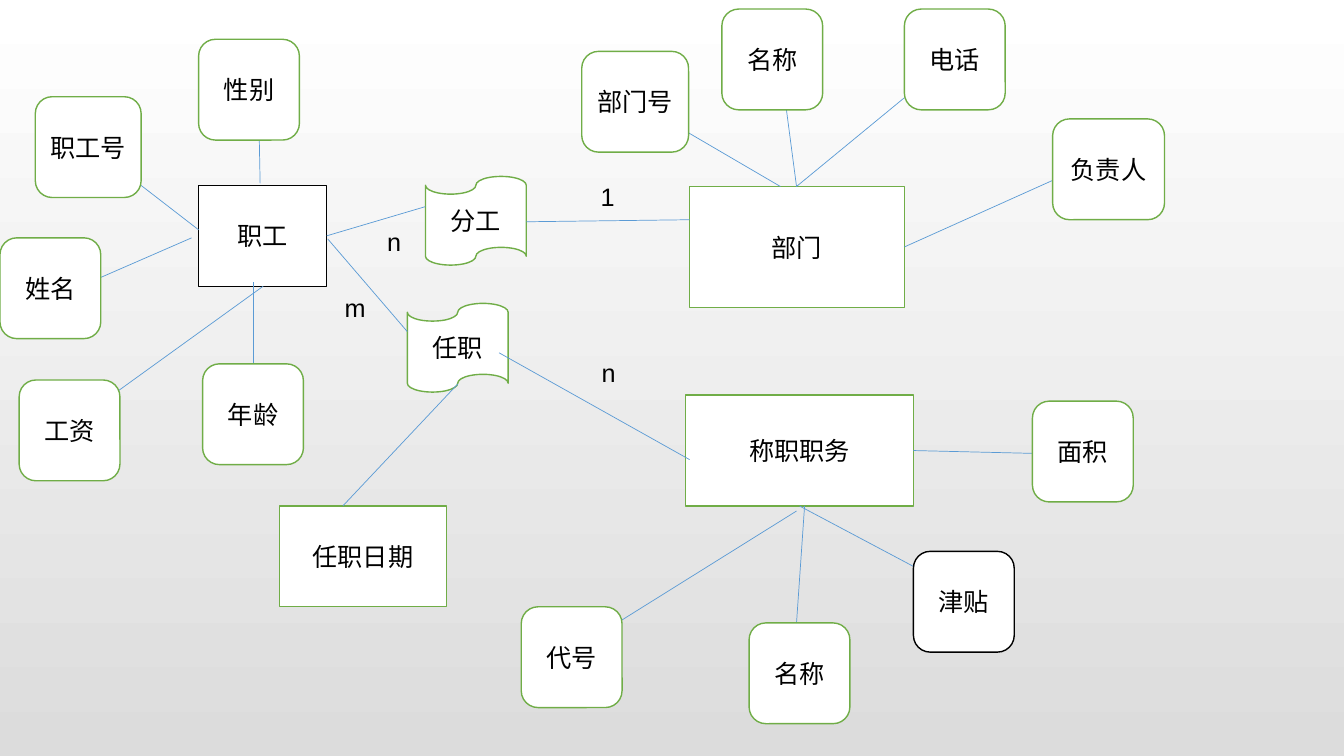
from lxml import etree
from pptx import Presentation
from pptx.dml.color import RGBColor
from pptx.enum.shapes import MSO_CONNECTOR, MSO_SHAPE
from pptx.enum.text import MSO_ANCHOR, MSO_AUTO_SIZE, PP_ALIGN
from pptx.oxml.ns import qn
from pptx.util import Inches, Pt

ENTITY = MSO_SHAPE.RECTANGLE
PROCESS = MSO_SHAPE.FLOWCHART_PROCESS
ATTRIBUTE = MSO_SHAPE.ROUNDED_RECTANGLE
RELATIONSHIP = MSO_SHAPE.FLOWCHART_PUNCHED_TAPE
STRAIGHT = MSO_CONNECTOR.STRAIGHT
MIDDLE = MSO_ANCHOR.MIDDLE
CENTER = PP_ALIGN.CENTER
FIT_SHAPE = MSO_AUTO_SIZE.SHAPE_TO_FIT_TEXT

WHITE, GREY, BLACK = "FFFFFF", "DCDCDC", "000000"
GREEN, BLUE = "70AD47", "5B9BD5"
FONT = {"name": "Arial", "size": Pt(18)}
NODE_FRAME = {"word_wrap": True, "vertical_anchor": MIDDLE,
              "margin_left": Inches(0.05), "margin_right": Inches(0.05)}
LABEL_FRAME = {"word_wrap": True, "auto_size": FIT_SHAPE}

# Text, left, top, width, height, preset, outline
ENTITIES = [
    ("职工", 1.97, 1.84, 1.27, 1, ENTITY, BLACK),
    ("任职日期", 2.77, 5.02, 1.66, 1, ENTITY, GREEN),
    ("部门", 6.84, 1.85, 2.13, 1.2, PROCESS, GREEN),
    ("称职职务", 6.8, 3.92, 2.26, 1.1, ENTITY, GREEN),
]
# Text, left, top
RELATIONSHIPS = [("分工", 4.22, 1.75), ("任职", 4.04, 3.01)]
# Start x, start y, end x, end y
RELATIONSHIP_LINKS = [
    (3.24, 2.34, 4.22, 2.05),
    (3.25, 2.37, 4.04, 3.29),
    (4.54, 3.81, 3.4, 5.02),
    (5.22, 2.2, 6.84, 2.18),
    (6.84, 4.56, 4.95, 3.5),
]
# Text, left, top, width, outline, link from entity to attribute
ATTRIBUTES = [
    ("职工号", 0.35, 0.96, 1.05, GREEN, (1.97, 2.28, 1.4, 1.84)),
    ("性别", 1.97, 0.39, 1, GREEN, (2.58, 1.82, 2.57, 1.28)),
    ("姓名", 0, 2.36, 1, GREEN, (1.9, 2.36, 0.89, 2.8)),
    ("工资", 0.19, 3.77, 1, GREEN, (2.61, 2.84, 0.92, 4.06)),
    ("年龄", 2.01, 3.61, 1, GREEN, (2.51, 2.8, 2.51, 3.61)),
    ("部门号", 5.77, 0.51, 1.06, GREEN, (7.74, 1.85, 6.61, 1.19)),
    ("名称", 7.16, 0.09, 1, GREEN, (7.9, 1.85, 7.8, 1.09)),
    ("电话", 8.97, 0.09, 1, GREEN, (7.9, 1.85, 8.97, 0.97)),
    ("负责人", 10.44, 1.18, 1.11, GREEN, (8.97, 2.45, 10.44, 1.79)),
    ("面积", 10.24, 3.98, 1, GREEN, (9.06, 4.47, 10.34, 4.5)),
    ("津贴", 9.06, 5.47, 1, BLACK, (7.93, 5.02, 9.08, 5.63)),
    ("名称", 7.43, 6.18, 1, GREEN, (7.98, 5.02, 7.9, 6.18)),
    ("代号", 5.17, 6.02, 1, GREEN, (7.9, 5.07, 6.17, 6.15)),
]
# Text, left, top, width
CARDINALITIES = [
    ("1", 5.86, 1.75, 0.34),
    ("n", 5.87, 3.5, 0.34),
    ("n", 3.74, 2.2, 0.31),
    ("m", 3.32, 2.85, 0.23),
]


def color(hex_string):
    """Turn a hex string into a colour."""
    return RGBColor.from_string(hex_string)


def apply_format(target, values):
    """Set every attribute in values on target."""
    for name, value in values.items():
        setattr(target, name, value)


def write_text(shape, text, frame_format):
    """Write one line of black text and return its paragraph."""
    apply_format(shape.text_frame, frame_format)
    paragraph = shape.text_frame.paragraphs[0]
    run = paragraph.add_run()
    run.text = text
    apply_format(run.font, FONT)
    run.font.color.rgb = color(BLACK)
    return paragraph


def add_node(slide, text, left, top, width, height, preset, outline):
    """Add a white outlined shape with centred text."""
    shape = slide.shapes.add_shape(
        preset, Inches(left), Inches(top), Inches(width), Inches(height))
    shape.shadow.inherit = False
    shape.fill.solid()
    shape.fill.fore_color.rgb = color(WHITE)
    shape.line.color.rgb = color(outline)
    shape.line.width = Pt(1)
    write_text(shape, text, NODE_FRAME).alignment = CENTER


def add_link(slide, start_x, start_y, end_x, end_y):
    """Add a thin blue line between two points."""
    link = slide.shapes.add_connector(
        STRAIGHT, Inches(start_x), Inches(start_y), Inches(end_x), Inches(end_y))
    link.line.color.rgb = color(BLUE)
    link.line.width = Pt(0.5)
    etree.SubElement(link._element.spPr, qn("a:effectLst"))


def add_cardinality(slide, text, left, top, width):
    """Add the label that tells how many take part in a relationship."""
    box = slide.shapes.add_textbox(
        Inches(left), Inches(top), Inches(width), Inches(0.4))
    write_text(box, text, LABEL_FRAME)


def set_background(slide):
    """Fade the background from white at the top to grey."""
    fill = slide.background.fill
    fill.gradient()
    fill.gradient_angle = 270
    for stop, position, shade in zip(fill.gradient_stops, (0, 1), (WHITE, GREY)):
        stop.position = position
        stop.color.rgb = color(shade)


def main():
    """Build the entity-relationship diagram and save it."""
    presentation = Presentation()
    presentation.slide_width = Inches(13.33)
    presentation.slide_height = Inches(7.5)
    slide = presentation.slides.add_slide(presentation.slide_layouts[6])
    set_background(slide)
    for entity in ENTITIES:
        add_node(slide, *entity)
    for text, left, top in RELATIONSHIPS:
        add_node(slide, text, left, top, 1, 0.88, RELATIONSHIP, GREEN)
    for link in RELATIONSHIP_LINKS:
        add_link(slide, *link)
    for text, left, top, width, outline, link in ATTRIBUTES:
        add_link(slide, *link)
        add_node(slide, text, left, top, width, 1, ATTRIBUTE, outline)
    for cardinality in CARDINALITIES:
        add_cardinality(slide, *cardinality)
    presentation.save("out.pptx")


main()
